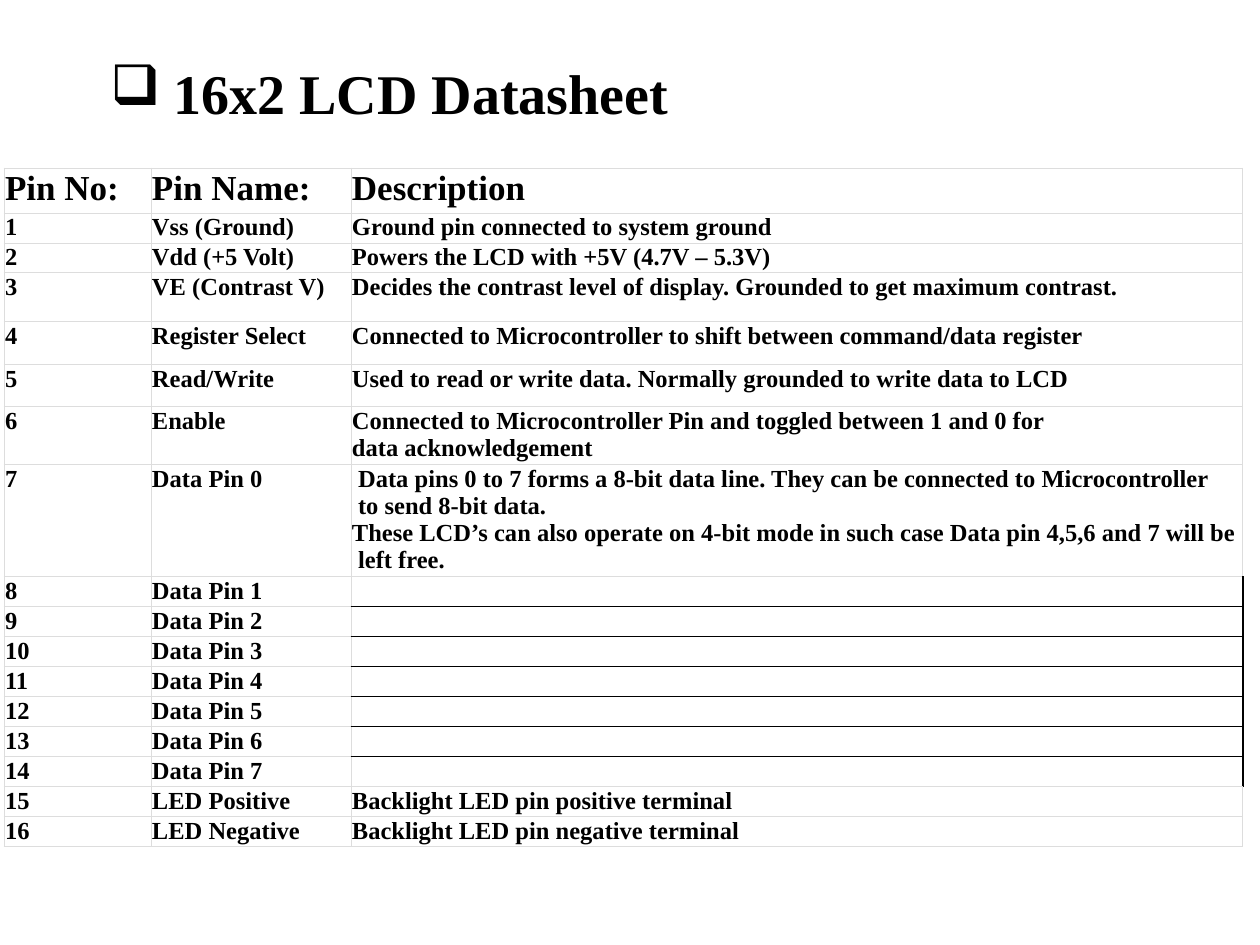
from lxml import etree
from pptx import Presentation
from pptx.dml.color import RGBColor
from pptx.enum.text import MSO_AUTO_SIZE, PP_ALIGN
from pptx.oxml.ns import qn
from pptx.util import Emu, Pt

PX = 914400 // 126
FONT = "Times New Roman"
JUSTIFY = PP_ALIGN.JUSTIFY
FIT_SHAPE = MSO_AUTO_SIZE.SHAPE_TO_FIT_TEXT
COLORS = {"text": "000000", "cell": "FFFFFF", "grid": "DDDDDD", "rule": "000000"}
GRID = (COLORS["grid"], 0.6)
RULE = (COLORS["rule"], 0.75)

COL_WIDTHS = [147, 200, 892]
LINE_ROW = 30
# Pin name, description, row height
PINS = [
    ("Vss (Ground)", "Ground pin connected to system ground", LINE_ROW),
    ("Vdd (+5 Volt)", "Powers the LCD with +5V (4.7V – 5.3V)", LINE_ROW),
    ("VE (Contrast V)",
     "Decides the contrast level of display. Grounded to get maximum contrast.", 49),
    ("Register Select",
     "Connected to Microcontroller to shift between command/data register", 43),
    ("Read/Write",
     "Used to read or write data. Normally grounded to write data to LCD", 42),
    ("Enable",
     "Connected to Microcontroller Pin and toggled between 1 and 0 for \n"
     "data acknowledgement", 58),
    ("Data Pin 0",
     " Data pins 0 to 7 forms a 8-bit data line. They can be connected to Microcontroller\n"
     " to send 8-bit data.\n"
     "These LCD’s can also operate on 4-bit mode in such case Data pin 4,5,6 and 7 will be\n"
     " left free.", 112),
    *[(f"Data Pin {n}", "", LINE_ROW) for n in range(1, 8)],
    ("LED Positive", "Backlight LED pin positive terminal", LINE_ROW),
    ("LED Negative", "Backlight LED pin negative terminal", LINE_ROW),
]


def px(n):
    return Emu(n * PX)


def style_run(r, size):
    r.font.name = FONT
    r.font.size = Pt(size)
    r.font.bold = True
    r.font.color.rgb = RGBColor.from_string(COLORS["text"])


def add_title(slide, text):
    s = slide.shapes.add_textbox(px(98), px(52), px(590), px(81))
    tf = s.text_frame
    tf.word_wrap = False
    tf.auto_size = FIT_SHAPE
    p = tf.paragraphs[0]
    p.text = text
    style_run(p.runs[0], 32)
    # Hanging bullet
    pPr = p._p.get_or_add_pPr()
    pPr.set("marL", str(px(63)))
    pPr.set("indent", str(px(-63)))
    etree.SubElement(pPr, qn("a:buChar"), char="❑")


def set_borders(cell, left=GRID, right=GRID, top=GRID, bottom=GRID):
    tcPr = cell._tc.get_or_add_tcPr()
    for tag, (color, width) in zip(("lnL", "lnR", "lnT", "lnB"),
                                   (left, right, top, bottom)):
        ln = etree.SubElement(tcPr, qn(f"a:{tag}"), w=str(Pt(width)))
        fill = etree.SubElement(ln, qn("a:solidFill"))
        etree.SubElement(fill, qn("a:srgbClr"), val=color)


def set_margins(cell):
    cell.margin_left = cell.margin_right = px(1)
    cell.margin_top = cell.margin_bottom = px(1)


def fill_text_cell(cell, text, size):
    set_margins(cell)
    set_borders(cell)
    cell.fill.solid()
    cell.fill.fore_color.rgb = RGBColor.from_string(COLORS["cell"])
    cell.text_frame.text = text
    for p in cell.text_frame.paragraphs:
        p.alignment = JUSTIFY
        for r in p.runs:
            style_run(r, size)


def fill_empty_cell(cell, first, last):
    set_margins(cell)
    set_borders(cell, right=RULE, top=GRID if first else RULE,
                bottom=GRID if last else RULE)
    cell.fill.background()
    # Small end mark keeps the row at one line of text
    etree.SubElement(cell.text_frame.paragraphs[0]._p, qn("a:endParaRPr"), sz="1200")


def add_pin_table(slide):
    rows = [("Pin No:", "Pin Name:", "Description")]
    rows += [(str(n), name, desc) for n, (name, desc, _) in enumerate(PINS, 1)]
    heights = [45] + [height for _, _, height in PINS]
    table = slide.shapes.add_table(len(rows), len(COL_WIDTHS), px(4), px(168),
                                   px(sum(COL_WIDTHS)), px(sum(heights))).table
    table.first_row = table.horz_banding = False
    for col, width in zip(table.columns, COL_WIDTHS):
        col.width = px(width)
    for row, height in zip(table.rows, heights):
        row.height = px(height)

    empty = [i for i, row in enumerate(rows) if not row[2]]
    for i, row in enumerate(rows):
        for j, text in enumerate(row):
            cell = table.cell(i, j)
            if text:
                fill_text_cell(cell, text, 14 if i else 20)
            else:
                fill_empty_cell(cell, i == empty[0], i == empty[-1])


def main():
    prs = Presentation()
    prs.slide_width, prs.slide_height = px(1260), px(945)
    slide = prs.slides.add_slide(prs.slide_layouts[6])
    add_pin_table(slide)
    add_title(slide, "16x2 LCD Datasheet")
    prs.save("out.pptx")


if __name__ == "__main__":
    main()
